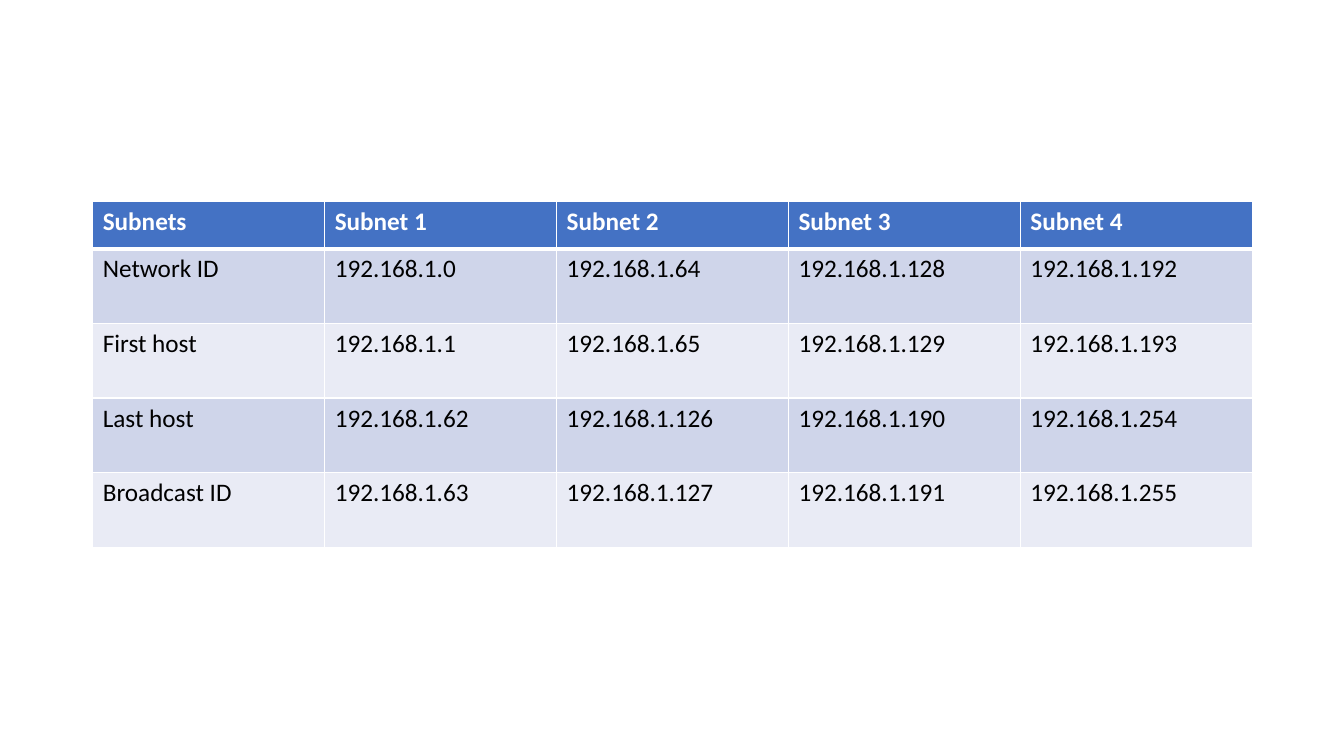
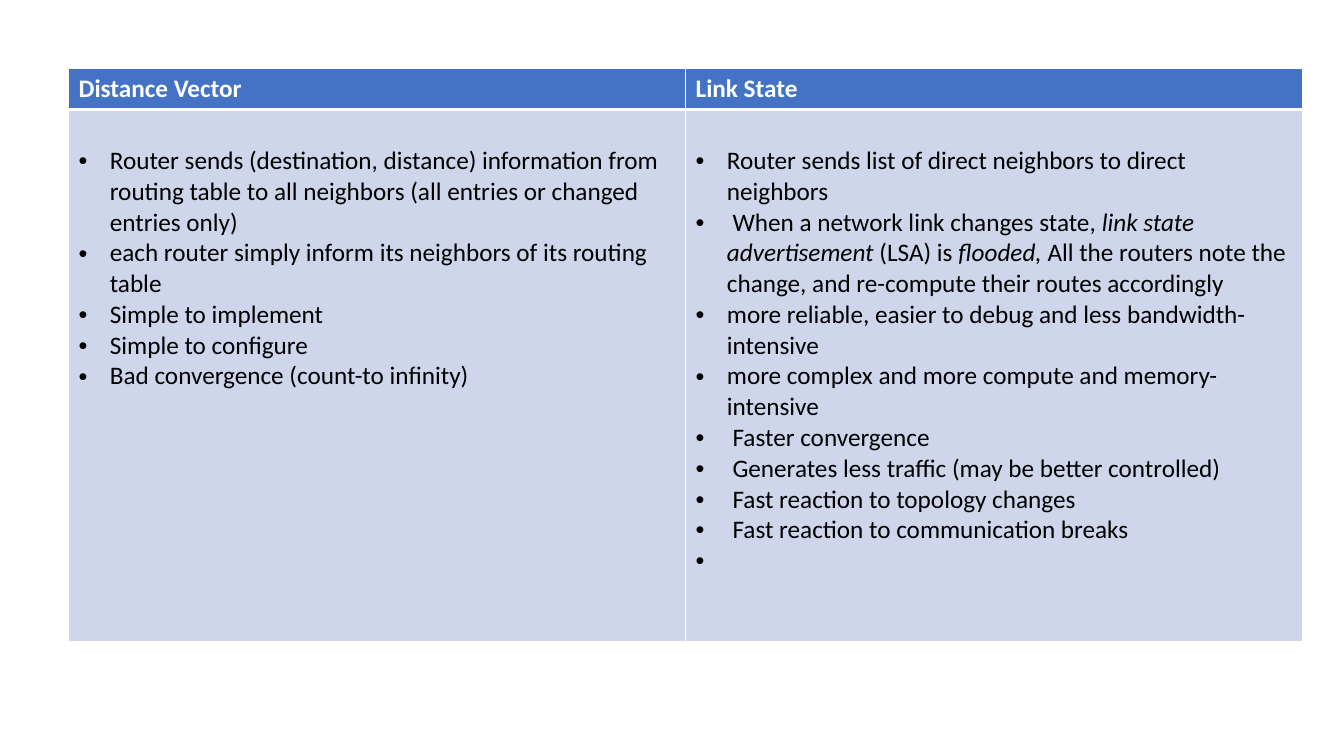
from lxml.etree import SubElement
from pptx import Presentation
from pptx.dml.color import RGBColor as RGB
from pptx.oxml.ns import qn
from pptx.util import Inches, Pt


def color(value):
    return RGB.from_string(value)


class Deck:
    """Shared table style and the current slide."""
    FONT, SIZE = "Calibri", Pt(18)
    HEADER, BANDS = "4472C4", ("CFD5EA", "E9EBF5")
    WHITE, BLACK = "FFFFFF", "000000"
    THIN, THICK = Pt(1), Pt(3)

    def __init__(self):
        self.prs = Presentation()
        self.prs.slide_width = Inches(13.33)
        self.prs.slide_height = Inches(7.5)
        self.s = None

    def new_slide(self):
        self.s = self.prs.slides.add_slide(self.prs.slide_layouts[6])

    def borders(self, cell, top, bottom):
        tc_pr = cell._tc.get_or_add_tcPr()
        widths = {"L": self.THIN, "R": self.THIN, "T": top, "B": bottom}
        for side, width in widths.items():
            ln = SubElement(tc_pr, qn(f"a:ln{side}"), w=str(int(width)))
            fill = SubElement(ln, qn("a:solidFill"))
            SubElement(fill, qn("a:srgbClr"), val=self.WHITE)

    def add_runs(self, p, text, is_header):
        """Add runs to a paragraph; *stars* enclose italics."""
        for i, part in enumerate(text.split("*")):
            r = p.add_run()
            r.text = part
            r.font.name, r.font.size = self.FONT, self.SIZE
            r.font.bold, r.font.italic = is_header, i % 2 == 1
            r.font.color.rgb = color(self.WHITE if is_header else self.BLACK)

    def bullet(self, p):
        p_pr = p._p.get_or_add_pPr()
        indent = Inches(0.31)
        p_pr.set("marL", str(indent))
        p_pr.set("indent", str(-indent))
        SubElement(p_pr, qn("a:buFont"), typeface="Arial")
        SubElement(p_pr, qn("a:buChar"), char="•")

    def table(self, left, top, col_width, row_heights, rows):
        """Draw a banded table; a list as a cell value becomes bullets."""
        n_cols = len(rows[0])
        table = self.s.shapes.add_table(
            len(rows), n_cols, Inches(left), Inches(top),
            Inches(col_width * n_cols), Inches(sum(row_heights))).table
        for column in table.columns:
            column.width = Inches(col_width)
        for i, (values, height) in enumerate(zip(rows, row_heights)):
            table.rows[i].height = Inches(height)
            for j, value in enumerate(values):
                self.cell(table.cell(i, j), i, value)

    def cell(self, cell, row, value):
        is_header = row == 0
        self.borders(cell, self.THICK if row == 1 else self.THIN,
                     self.THICK if is_header else self.THIN)
        cell.fill.solid()
        cell.fill.fore_color.rgb = color(
            self.HEADER if is_header else self.BANDS[(row - 1) % 2])
        tf = cell.text_frame
        has_bullets = isinstance(value, list)
        if has_bullets:
            cell.margin_top = Inches(0.36)
        for k, text in enumerate(value if has_bullets else [value]):
            p = tf.add_paragraph() if k else tf.paragraphs[0]
            if has_bullets:
                self.bullet(p)
            self.add_runs(p, text, is_header)


def main():
    deck = Deck()

    # Subnet address plan
    deck.new_slide()
    starts = range(0, 256, 64)
    offsets = {"Network ID": 0, "First host": 1,
               "Last host": 62, "Broadcast ID": 63}
    rows = [["Subnets"] + [f"Subnet {n}" for n in range(1, 5)]]
    rows += [[label] + [f"192.168.1.{start + offset}" for start in starts]
             for label, offset in offsets.items()]
    deck.table(0.92, 2, 2.3, [0.47] + [0.74] * 4, rows)

    # Routing protocol comparison
    deck.new_slide()
    distance_vector = [
        "Router sends (destination, distance) information from routing table "
        "to all neighbors (all entries or changed entries only)",
        "each router simply inform its neighbors of its routing table",
        "Simple to implement",
        "Simple to configure",
        "Bad convergence (count-to infinity)",
    ]
    link_state = [
        "Router sends list of direct neighbors to direct neighbors",
        " When a network link changes state, *link state advertisement *(LSA) "
        "is *flooded, *All the routers note the change, and re-compute their "
        "routes accordingly",
        "more reliable, easier to debug and less bandwidth-intensive",
        "more complex and more compute and memory-intensive",
        " Faster convergence",
        " Generates less traffic (may be better controlled)",
        " Fast reaction to topology changes",
        " Fast reaction to communication breaks",
        " ",
    ]
    deck.table(0.68, 0.68, 6.12, [0.4, 5.28],
               [["Distance Vector", "Link State"],
                [distance_vector, link_state]])

    deck.prs.save("out.pptx")


if __name__ == "__main__":
    main()
